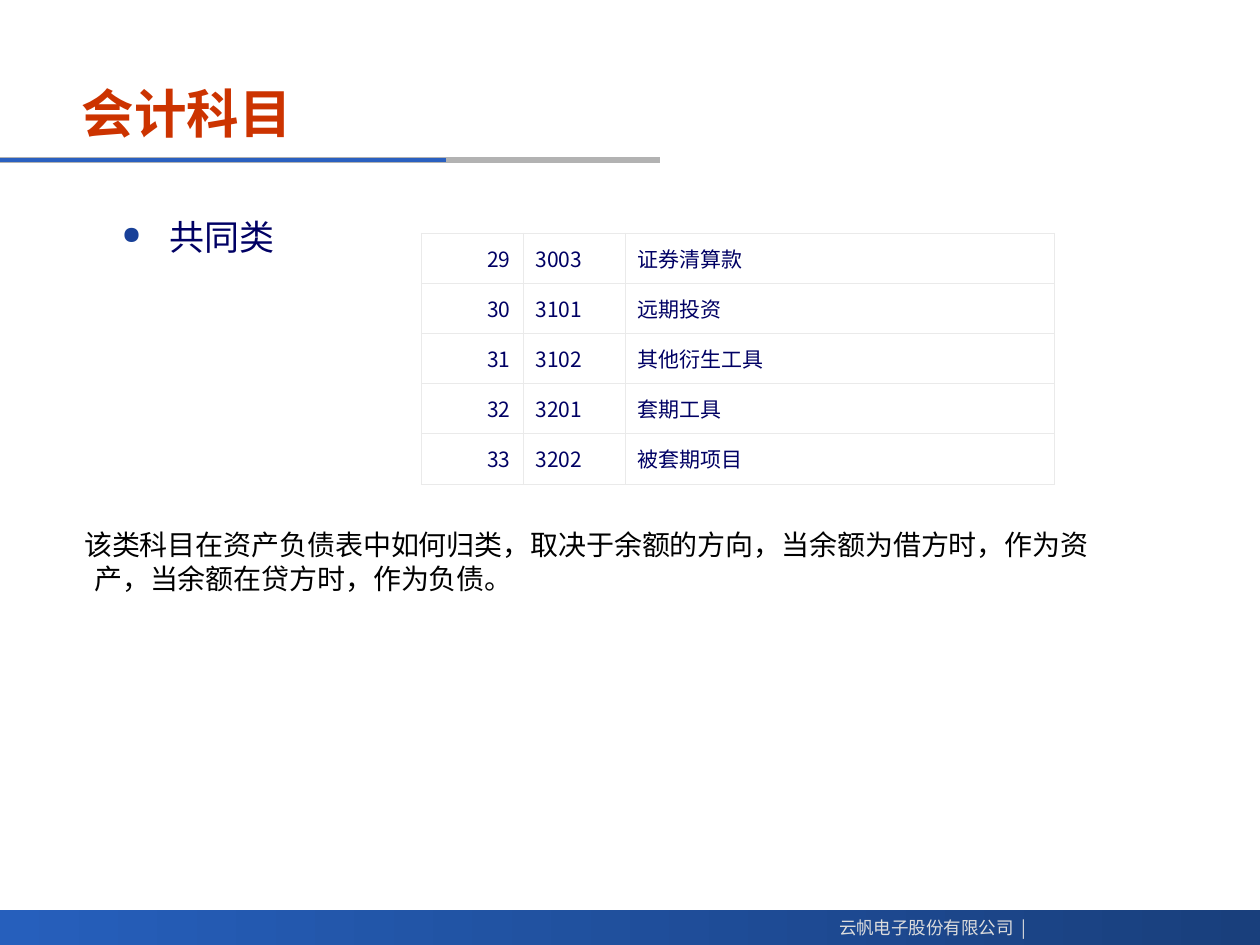
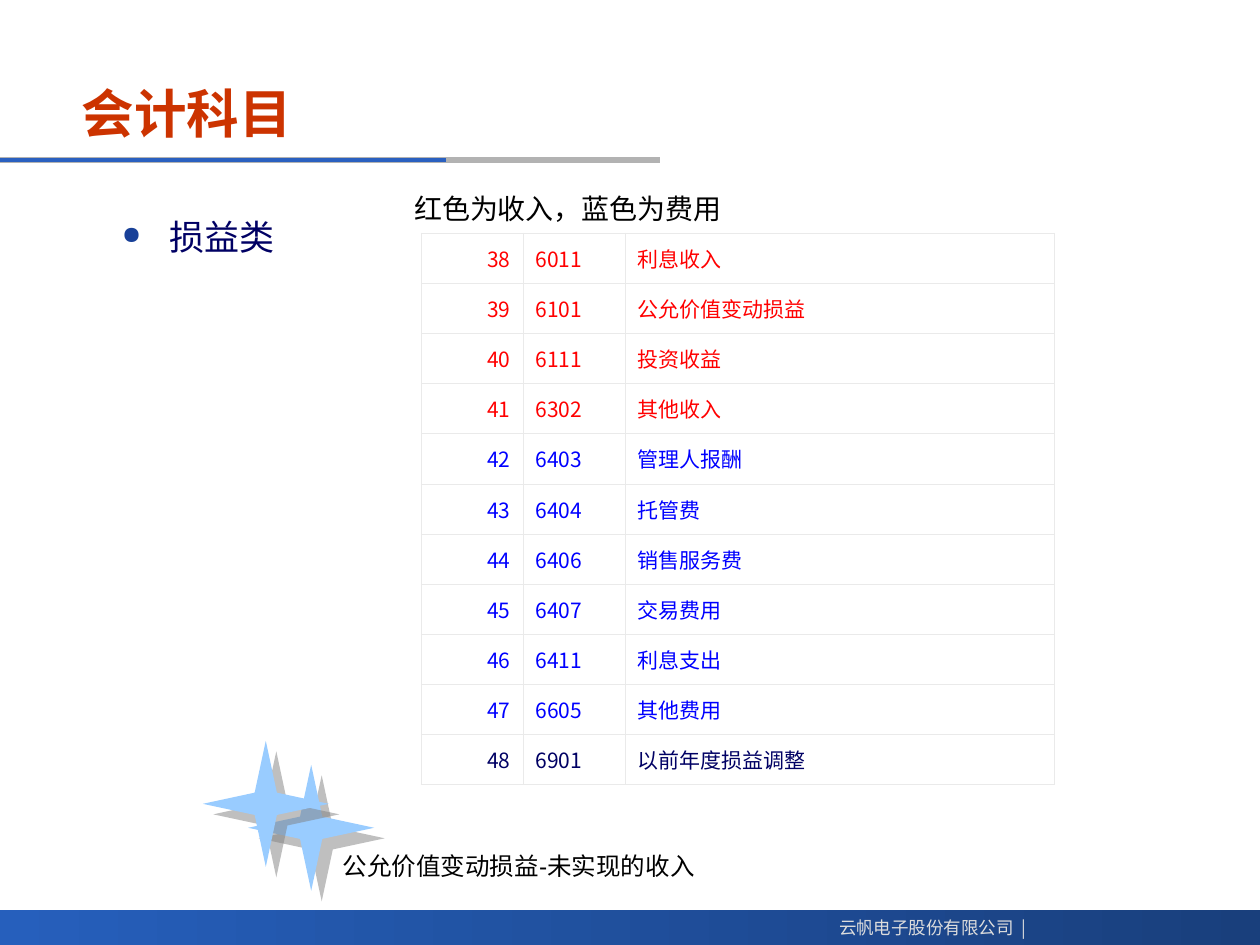
import pptx
import pptx.dml.color
import pptx.enum.shapes
import pptx.enum.text
import pptx.oxml
import pptx.oxml.ns
import pptx.util

Inches = pptx.util.Inches
Pt = pptx.util.Pt
ALIGN = pptx.enum.text.PP_ALIGN
ANCHOR = pptx.enum.text.MSO_ANCHOR
SHAPE = pptx.enum.shapes.MSO_SHAPE
NAMESPACE = pptx.oxml.ns.nsdecls("a")

NAVY, RED, BLUE, BLACK = "000064", "FF0000", "0000FF", "000000"
COLUMN_WIDTHS = (0.81, 0.81, 3.41)
ROW_HEIGHT = Inches(4.38) // 11

COMMON_ACCOUNTS = [
    ("29", "3003", "证券清算款", NAVY),
    ("30", "3101", "远期投资", NAVY),
    ("31", "3102", "其他衍生工具", NAVY),
    ("32", "3201", "套期工具", NAVY),
    ("33", "3202", "被套期项目", NAVY),
]
PROFIT_ACCOUNTS = [
    ("38", "6011", "利息收入", RED),
    ("39", "6101", "公允价值变动损益", RED),
    ("40", "6111", "投资收益", RED),
    ("41", "6302", "其他收入", RED),
    ("42", "6403", "管理人报酬", BLUE),
    ("43", "6404", "托管费", BLUE),
    ("44", "6406", "销售服务费", BLUE),
    ("45", "6407", "交易费用", BLUE),
    ("46", "6411", "利息支出", BLUE),
    ("47", "6605", "其他费用", BLUE),
    ("48", "6901", "以前年度损益调整", NAVY),
]


def rgb(value):
    return pptx.dml.color.RGBColor.from_string(value)


def add_xml(parent, markup):
    """Append one DrawingML element; {ns} in the markup becomes its namespace."""
    parent.append(pptx.oxml.parse_xml(markup.replace("{ns}", NAMESPACE)))


class SlideBuilder:
    heading_font = "Noto Sans CJK SC"
    body_font = "Arial"

    def __init__(self, deck):
        self.deck = deck
        self.page = None

    def start_page(self, title, category):
        self.page = self.deck.slides.add_slide(self.deck.slide_layouts[6])
        self.footer()
        self.line(5.24, "B2B2B2", 3)
        self.line(3.54, "2A60C0", 2.25)
        para = self.text_box(0.55, 0.56, 6.92, 0.67, ANCHOR.MIDDLE)
        self.span(para, title, 30, "CC3300", self.heading_font).font.bold = True
        self.bullet(category)

    def footer(self):
        band = self.page.shapes.add_shape(
            SHAPE.RECTANGLE, 0, Inches(7.22), Inches(10), Inches(0.28))
        band.shadow.inherit = False
        band.line.fill.background()
        band.fill.gradient()
        band.fill.gradient_angle = 180
        for stop, color in zip(band.fill.gradient_stops, ("193F7C", "265FBC")):
            stop.color.rgb = rgb(color)
        para = self.text_box(6.24, 7.23, 2, 0.27)
        para.alignment = ALIGN.RIGHT
        for text in ("云帆电子股份有限公司", " ", "|"):
            span = self.span(para, text, 10, "DDDDDD", self.heading_font)
            if text == " ":
                span.font._element.set("spc", "220")

    def line(self, length, color, weight):
        """Draw a rule under the title from the left slide edge."""
        rule = self.page.shapes.add_connector(
            pptx.enum.shapes.MSO_CONNECTOR.STRAIGHT,
            0, Inches(1.27), Inches(length), Inches(1.27))
        rule.line.color.rgb = rgb(color)
        rule.line.width = Pt(weight)
        add_xml(rule._element.spPr, "<a:effectLst {ns}/>")

    def text_box(self, left, top, width, height, anchor=ANCHOR.TOP, inset=0.1):
        """Add an empty text box and return its first paragraph."""
        box = self.page.shapes.add_textbox(
            Inches(left), Inches(top), Inches(width), Inches(height))
        frame = box.text_frame
        frame.word_wrap = True
        frame.vertical_anchor = anchor
        frame.margin_left = frame.margin_right = Inches(inset)
        return frame.paragraphs[0]

    def span(self, para, text, size, color, font):
        span = para.add_run()
        span.text = text
        span.font.size = Pt(size)
        span.font.name = font
        span.font.color.rgb = rgb(color)
        add_xml(span.font._element, f'<a:ea {{ns}} typeface="{font}"/>')
        return span

    def indent(self, para, left, first):
        properties = para._p.get_or_add_pPr()
        properties.set("marL", str(Inches(left)))
        properties.set("indent", str(Inches(first)))
        return properties

    def bullet(self, text):
        para = self.text_box(0.87, 1.66, 4.07, 5.2)
        para.space_before = para.space_after = Pt(5)
        properties = self.indent(para, 0.38, -0.38)
        add_xml(properties, '<a:buClr {ns}><a:srgbClr val="184098"/></a:buClr>')
        add_xml(properties, '<a:buSzPct {ns} val="70000"/>')
        add_xml(properties, '<a:buChar {ns} char="●"/>')
        self.span(para, text, 20, NAVY, self.body_font)

    def note(self, text, left, top, width, height, size=16, **frame_options):
        para = self.text_box(left, top, width, height, **frame_options)
        para.space_before = Pt(size / 4)
        self.span(para, text, size, BLACK, self.body_font)
        return para

    def account_table(self, accounts):
        table = self.page.shapes.add_table(
            len(accounts), len(COLUMN_WIDTHS), Inches(3.34), Inches(1.85),
            Inches(sum(COLUMN_WIDTHS)), ROW_HEIGHT * len(accounts)).table
        table.first_row = table.horz_banding = False
        for column, width in zip(table.columns, COLUMN_WIDTHS):
            column.width = Inches(width)
        for row, (*texts, color) in zip(table.rows, accounts):
            row.height = ROW_HEIGHT
            for cell, text in zip(row.cells, texts):
                self.cell(cell, text, color)
            row.cells[0].text_frame.paragraphs[0].alignment = ALIGN.RIGHT

    def cell(self, cell, text, color):
        cell.vertical_anchor = ANCHOR.MIDDLE
        for side in "LRTB":
            add_xml(cell._tc.get_or_add_tcPr(),
                    f'<a:ln{side} {{ns}} w="{Pt(0.45)}"><a:solidFill>'
                    f'<a:srgbClr val="EAEAEA"/></a:solidFill></a:ln{side}>')
        cell.fill.background()
        para = cell.text_frame.paragraphs[0]
        para.space_after = Pt(3)
        self.span(para, text, 12, color, self.heading_font)

    def star(self, left, top):
        star = self.page.shapes.add_shape(
            SHAPE.STAR_4_POINT, Inches(left), Inches(top), Inches(1), Inches(1))
        star.adjustments[0] = 0.125
        star.fill.solid()
        star.fill.fore_color.rgb = rgb("99CCFF")
        star.line.fill.background()
        star.shadow.inherit = False
        effects = star._element.spPr.find(pptx.oxml.ns.qn("a:effectLst"))
        add_xml(effects,
                f'<a:outerShdw {{ns}} blurRad="0" dist="{Pt(8.5)}" dir="2700000" algn="ctr" '
                'rotWithShape="0"><a:srgbClr val="808080"><a:alpha val="50000"/>'
                '</a:srgbClr></a:outerShdw>')


def main():
    deck = pptx.Presentation()
    deck.slide_width, deck.slide_height = Inches(10), Inches(7.5)
    builder = SlideBuilder(deck)

    builder.start_page("会计科目", "共同类")
    builder.account_table(COMMON_ACCOUNTS)
    para = builder.note(
        "该类科目在资产负债表中如何归类，取决于余额的方向，当余额为借方时，作为资产，"
        "当余额在贷方时，作为负债。", 0.27, 4.14, 8.6, 0.64)
    builder.indent(para, 0.38, -0.08)

    builder.start_page("会计科目", "损益类")
    builder.account_table(PROFIT_ACCOUNTS)
    builder.note("红色为收入，蓝色为费用", 3.19, 1.47, 4.96, 0.37)
    builder.note("公允价值变动损益-未实现的收入", 2.68, 6.7, 3.47, 0.34,
                 size=14, anchor=ANCHOR.MIDDLE, inset=0.04)
    builder.star(1.97, 6.07)
    builder.star(1.61, 5.88)

    deck.save("out.pptx")


if __name__ == "__main__":
    main()
